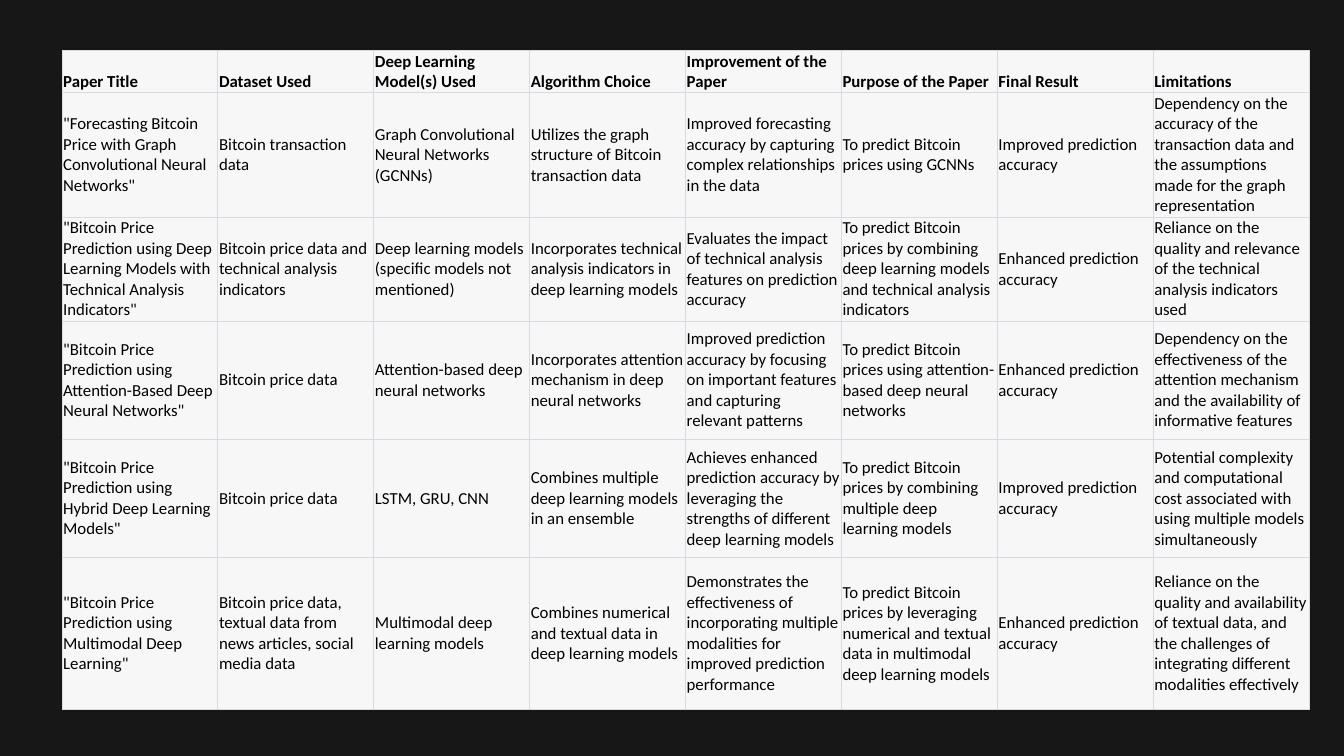
"""Build a slide with a comparison table of Bitcoin price prediction papers."""
from dataclasses import astuple, dataclass

from pptx import Presentation
from pptx.dml.color import RGBColor
from pptx.enum.text import MSO_ANCHOR
from pptx.oxml import parse_xml
from pptx.oxml.ns import nsdecls
from pptx.table import Table, _Cell
from pptx.util import Inches, Pt

BACKGROUND = RGBColor(0x17, 0x17, 0x17)
CELL_FILL = RGBColor(0xF7, 0xF7, 0xF8)
BORDER = RGBColor(0xD9, 0xD9, 0xE3)
TEXT = RGBColor(0x00, 0x00, 0x00)

LEFT, TOP, COL_WIDTH = 0.92, 0.75, 2.32
ROW_HEIGHTS = (0.52, 1.76, 1.51, 1.76, 1.76, 2.26)
THIN, THICK = Pt(0.6), Pt(1)
FONT = {"name": "Calibri", "size": Pt(18)}
MARGINS = {
    "margin_left": Inches(0.02),
    "margin_right": Inches(0.02),
    "margin_top": Inches(0.01),
    "margin_bottom": Inches(0.01),
}


@dataclass(frozen=True)
class Paper:
    """One row of the comparison."""

    title: str
    dataset: str
    model: str
    algorithm: str
    improvement: str
    purpose: str
    result: str
    limitations: str


HEADER = Paper(
    "Paper Title", "Dataset Used", "Deep Learning Model(s) Used", "Algorithm Choice",
    "Improvement of the Paper", "Purpose of the Paper", "Final Result", "Limitations",
)
PAPERS = (
    Paper(
        '"Forecasting Bitcoin Price with Graph Convolutional Neural Networks"',
        "Bitcoin transaction data",
        "Graph Convolutional Neural Networks (GCNNs)",
        "Utilizes the graph structure of Bitcoin transaction data",
        "Improved forecasting accuracy by capturing complex relationships in the data",
        "To predict Bitcoin prices using GCNNs",
        "Improved prediction accuracy",
        "Dependency on the accuracy of the transaction data and the assumptions "
        "made for the graph representation",
    ),
    Paper(
        '"Bitcoin Price Prediction using Deep Learning Models with Technical '
        'Analysis Indicators"',
        "Bitcoin price data and technical analysis indicators",
        "Deep learning models (specific models not mentioned)",
        "Incorporates technical analysis indicators in deep learning models",
        "Evaluates the impact of technical analysis features on prediction accuracy",
        "To predict Bitcoin prices by combining deep learning models and technical "
        "analysis indicators",
        "Enhanced prediction accuracy",
        "Reliance on the quality and relevance of the technical analysis indicators used",
    ),
    Paper(
        '"Bitcoin Price Prediction using Attention-Based Deep Neural Networks"',
        "Bitcoin price data",
        "Attention-based deep neural networks",
        "Incorporates attention mechanism in deep neural networks",
        "Improved prediction accuracy by focusing on important features and "
        "capturing relevant patterns",
        "To predict Bitcoin prices using attention-based deep neural networks",
        "Enhanced prediction accuracy",
        "Dependency on the effectiveness of the attention mechanism and the "
        "availability of informative features",
    ),
    Paper(
        '"Bitcoin Price Prediction using Hybrid Deep Learning Models"',
        "Bitcoin price data",
        "LSTM, GRU, CNN",
        "Combines multiple deep learning models in an ensemble",
        "Achieves enhanced prediction accuracy by leveraging the strengths of "
        "different deep learning models",
        "To predict Bitcoin prices by combining multiple deep learning models",
        "Improved prediction accuracy",
        "Potential complexity and computational cost associated with using "
        "multiple models simultaneously",
    ),
    Paper(
        '"Bitcoin Price Prediction using Multimodal Deep Learning"',
        "Bitcoin price data, textual data from news articles, social media data",
        "Multimodal deep learning models",
        "Combines numerical and textual data in deep learning models",
        "Demonstrates the effectiveness of incorporating multiple modalities for "
        "improved prediction performance",
        "To predict Bitcoin prices by leveraging numerical and textual data in "
        "multimodal deep learning models",
        "Enhanced prediction accuracy",
        "Reliance on the quality and availability of textual data, and the "
        "challenges of integrating different modalities effectively",
    ),
)


def set_borders(cell: _Cell, top: int, bottom: int) -> None:
    """Outline a cell with thin sides and the given top and bottom widths."""
    tc_pr = cell._tc.get_or_add_tcPr()
    for side, width in {"L": THIN, "R": THIN, "T": top, "B": bottom}.items():
        tc_pr.append(parse_xml(
            f'<a:ln{side} {nsdecls("a")} w="{width}"><a:solidFill>'
            f'<a:srgbClr val="{BORDER}"/></a:solidFill></a:ln{side}>'
        ))


def fill_cell(cell: _Cell, text: str, is_header: bool) -> None:
    """Write and format the text of a cell."""
    for name, value in MARGINS.items():
        setattr(cell, name, value)
    cell.vertical_anchor = MSO_ANCHOR.BOTTOM if is_header else MSO_ANCHOR.MIDDLE
    cell.fill.solid()
    cell.fill.fore_color.rgb = CELL_FILL
    r = cell.text_frame.paragraphs[0].add_run()
    r.text = text
    for name, value in {**FONT, "bold": is_header}.items():
        setattr(r.font, name, value)
    r.font.color.rgb = TEXT


def fill_row(table: Table, row: int, paper: Paper) -> None:
    """Fill one table row from a paper."""
    table.rows[row].height = Inches(ROW_HEIGHTS[row])
    top = THIN if row == 0 else THICK
    bottom = THIN if row == len(ROW_HEIGHTS) - 1 else THICK
    for col, text in enumerate(astuple(paper)):
        cell = table.cell(row, col)
        set_borders(cell, top, bottom)
        fill_cell(cell, text, row == 0)


def main() -> None:
    """Create and save the presentation."""
    prs = Presentation()
    prs.slide_width, prs.slide_height = Inches(20), Inches(11.25)
    s = prs.slides.add_slide(prs.slide_layouts[6])
    s.background.fill.solid()
    s.background.fill.fore_color.rgb = BACKGROUND

    cols = len(astuple(HEADER))
    table = s.shapes.add_table(
        len(ROW_HEIGHTS), cols, Inches(LEFT), Inches(TOP),
        Inches(COL_WIDTH * cols), Inches(sum(ROW_HEIGHTS)),
    ).table
    table.first_row = table.horz_banding = False
    for column in table.columns:
        column.width = Inches(COL_WIDTH)
    for row, paper in enumerate((HEADER, *PAPERS)):
        fill_row(table, row, paper)
    prs.save("out.pptx")


if __name__ == "__main__":
    main()
